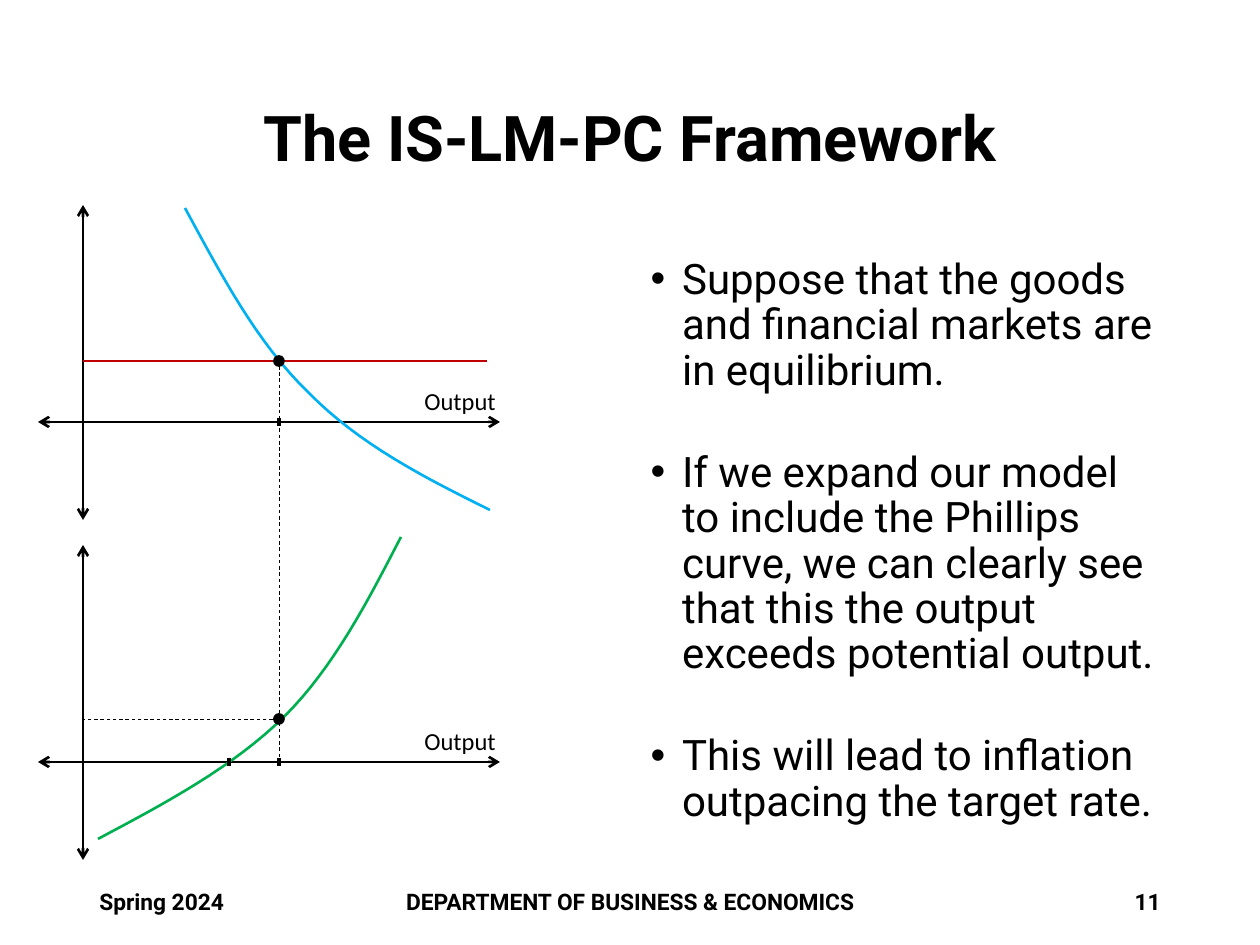
from lxml.etree import SubElement
from pptx import Presentation
from pptx.dml.color import RGBColor
from pptx.enum.dml import MSO_LINE
from pptx.enum.shapes import MSO_CONNECTOR, MSO_SHAPE
from pptx.enum.text import MSO_ANCHOR, MSO_AUTO_SIZE, PP_ALIGN
from pptx.oxml.ns import qn
from pptx.util import Pt

SCALE = 914400 / 126
BLACK = RGBColor(0x00, 0x00, 0x00)
RED = RGBColor(0xC0, 0x00, 0x00)
BLUE = RGBColor(0x00, 0xB0, 0xF0)
GREEN = RGBColor(0x00, 0xB0, 0x50)

TITLE = "The IS-LM-PC Framework"
BULLETS = [
    "Suppose that the goods and financial markets are in equilibrium.",
    "If we expand our model to include the Phillips curve, we can clearly see "
    "that this the output exceeds potential output.",
    "This will lead to inflation outpacing the target rate.",
]
FOOTERS = [
    ("Spring 2024", 87, 283, PP_ALIGN.LEFT),
    ("DEPARTMENT OF BUSINESS & ECONOMICS", 233, 794, PP_ALIGN.CENTER),
    ("11", 890, 283, PP_ALIGN.RIGHT),
]
AXIS_X, AXIS_LEFT, AXIS_RIGHT, AXIS_HEIGHT = 83, 38, 500, 315
PANEL_TOPS = [205, 545]
ZERO_DROP = 217
LM_Y, INFLATION_Y = 361, 719
OUTPUT_X, POTENTIAL_X = 279, 229
IS_CURVE = [(185, 208), (222, 276), (257, 343), (309, 393),
            (359, 444), (425, 478), (490, 510)]
PC_CURVE = [(98, 839), (166, 803), (233, 767), (284, 717),
            (334, 667), (368, 601), (401, 537)]
CURVE_STEPS = 16


def px(n):
    return round(n * SCALE)


def place(sp, *box):
    sp.left, sp.top, sp.width, sp.height = map(px, box)


def add_run(p, text, size, font="Roboto", bold=False):
    r = p.add_run()
    r.text = text
    r.font.size, r.font.name, r.font.bold = Pt(size), font, bold
    r.font.color.rgb = BLACK


def add_label(slide, text, box, size, font, bold=False, align=PP_ALIGN.LEFT,
              anchor=MSO_ANCHOR.TOP, wrap=True):
    tf = slide.shapes.add_textbox(*map(px, box)).text_frame
    tf.word_wrap, tf.vertical_anchor = wrap, anchor
    p = tf.paragraphs[0]
    p.alignment = align
    add_run(p, text, size, font, bold)


def add_line(slide, ends, width, color=BLACK, dashed=False, arrows=False):
    sp = slide.shapes.add_connector(MSO_CONNECTOR.STRAIGHT, *map(px, ends))
    sp.line.color.rgb, sp.line.width = color, Pt(width)
    if dashed:
        sp.line.dash_style = MSO_LINE.DASH
    if arrows:
        ln = sp.line._get_or_add_ln()
        for end in ("a:headEnd", "a:tailEnd"):
            SubElement(ln, qn(end), type="arrow")
    SubElement(sp._element.spPr, qn("a:effectLst"))


def bezier(a, b, c, d, t):
    u = 1 - t
    return tuple(px(u**3 * i + 3 * u * u * t * j + 3 * u * t * t * k + t**3 * m)
                 for i, j, k, m in zip(a, b, c, d))


def add_curve(slide, knots, color):
    points = [bezier(*knots[i:i + 4], step / CURVE_STEPS)
              for i in range(0, len(knots) - 1, 3)
              for step in range(1, CURVE_STEPS + 1)]
    builder = slide.shapes.build_freeform(*map(px, knots[0]))
    builder.add_line_segments(points, close=False)
    sp = builder.convert_to_shape()
    sp.fill.background()
    sp.line.color.rgb, sp.line.width = color, Pt(1.5)
    sp.shadow.inherit = False


def add_dot(slide, x, y):
    sp = slide.shapes.add_shape(MSO_SHAPE.OVAL, *map(px, (x - 5, y - 5, 10, 10)))
    sp.fill.solid()
    sp.fill.fore_color.rgb = BLACK
    sp.line.color.rgb, sp.line.width = BLACK, Pt(1)
    sp.shadow.inherit = False


def add_text(slide):
    title, body = slide.placeholders
    place(title, 87, 50, 1086, 183)
    place(body, 638, 252, 535, 600)
    for sp in (title, body):
        sp.text_frame.auto_size = MSO_AUTO_SIZE.NONE
    title.text_frame.vertical_anchor = MSO_ANCHOR.MIDDLE
    p = title.text_frame.paragraphs[0]
    p.alignment, p.line_spacing = PP_ALIGN.CENTER, 0.9
    add_run(p, TITLE, 36, bold=True)

    tf = body.text_frame
    for i, text in enumerate(BULLETS):
        p = tf.add_paragraph() if i else tf.paragraphs[0]
        pPr = p._p.get_or_add_pPr()
        pPr.set("marL", "228600")
        pPr.set("indent", "-228600")
        SubElement(pPr, qn("a:buChar"), char="•")
        p.line_spacing, p.space_before = 0.9, Pt(32.4 if i else 0)
        add_run(p, text, 24)

    for text, left, width, align in FOOTERS:
        add_label(slide, text, (left, 876, width, 50), 13, "Roboto", True,
                  align, MSO_ANCHOR.MIDDLE)


def add_diagram(slide):
    zeros = [top + ZERO_DROP for top in PANEL_TOPS]
    for top, zero in zip(PANEL_TOPS, zeros):
        add_line(slide, (AXIS_X, top, AXIS_X, top + AXIS_HEIGHT), 1.5, arrows=True)
        add_line(slide, (AXIS_LEFT, zero, AXIS_RIGHT, zero), 1.5, arrows=True)
        add_label(slide, "Output", (412, zero - 42, 98, 43), 14, "Calibri", wrap=False)

    add_line(slide, (AXIS_X, LM_Y, 487, LM_Y), 1.5, RED)
    add_curve(slide, IS_CURVE, BLUE)
    add_curve(slide, PC_CURVE, GREEN)
    add_line(slide, (OUTPUT_X, LM_Y + 5, OUTPUT_X, zeros[1]), 0.5, dashed=True)
    add_line(slide, (OUTPUT_X, INFLATION_Y, AXIS_X, INFLATION_Y), 0.5, dashed=True)
    for x, y in [(OUTPUT_X, zeros[0]), (OUTPUT_X, zeros[1]), (POTENTIAL_X, zeros[1])]:
        add_line(slide, (x, y - 4, x, y + 4), 2.25)
    for y in (LM_Y, INFLATION_Y):
        add_dot(slide, OUTPUT_X, y)


def main():
    """Build the IS-LM-PC slide."""
    prs = Presentation()
    prs.slide_width, prs.slide_height = px(1260), px(945)
    slide = prs.slides.add_slide(prs.slide_layouts[1])
    add_text(slide)
    add_diagram(slide)
    prs.save("out.pptx")


if __name__ == "__main__":
    main()
